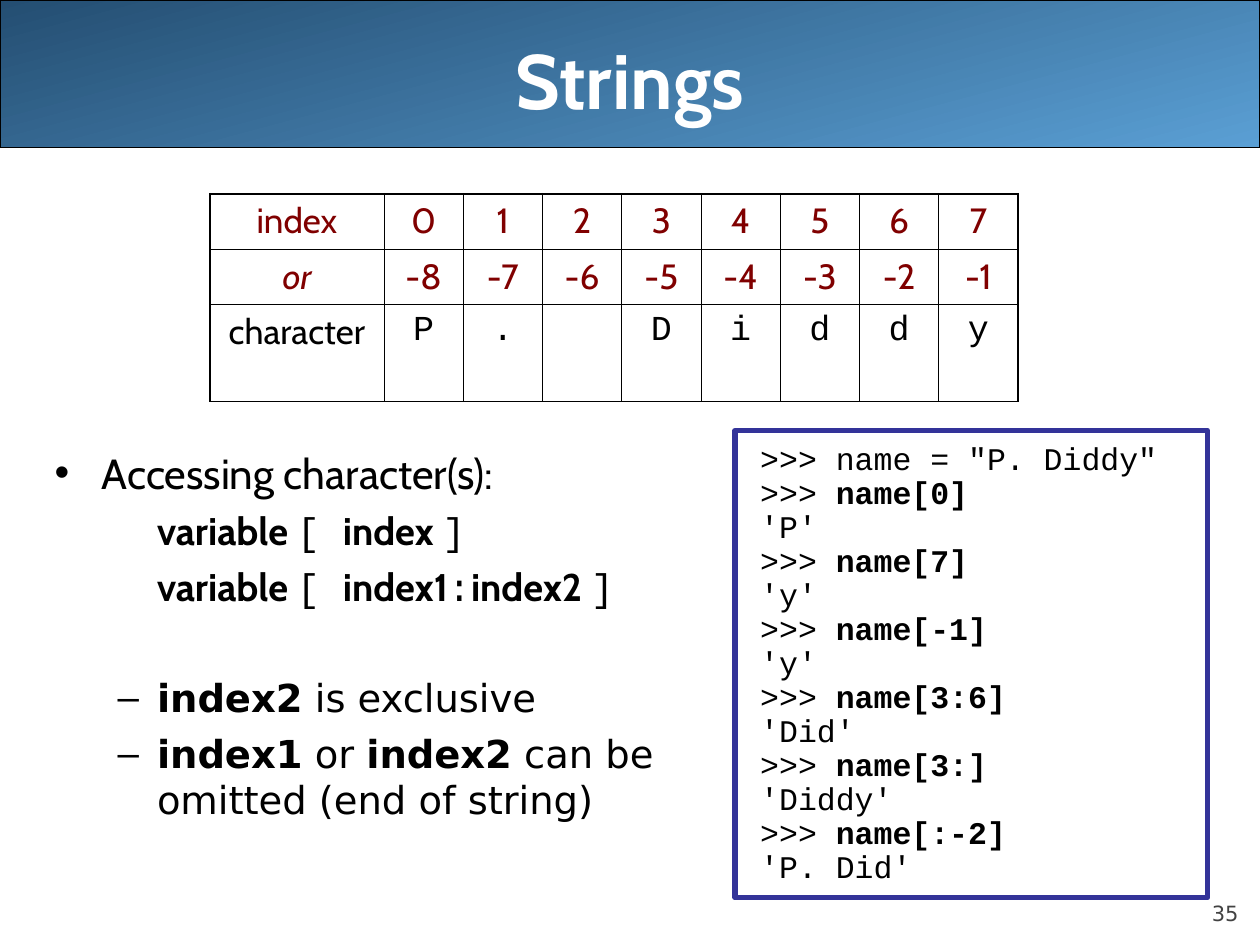
"""Build the Strings slide with an index table, access rules and a console session."""
import lxml.etree
import pptx
import pptx.dml.color
import pptx.enum.shapes
import pptx.enum.text
import pptx.oxml.ns
import pptx.util

Pt = pptx.util.Pt
RGB = pptx.dml.color.RGBColor.from_string
qn = pptx.oxml.ns.qn
ALIGN = pptx.enum.text.PP_ALIGN
ANCHOR = pptx.enum.text.MSO_ANCHOR
SHAPE = pptx.enum.shapes.MSO_SHAPE

THEME = {
    "sans": "Cabin", "mono": "Courier New", "plain": "DejaVu Sans",
    "dark": "244E72", "light": "5A9FD4", "white": "FFFFFF", "black": "000000",
    "index": "800000", "frame": "333399", "number": "424242",
    "title": 44, "lead": 24, "item": 22, "cell": 20, "code": 18, "page": 12,
}


def add_run(p, text, font, size, color="black", bold=False, italic=False):
    r = p.add_run()
    r.text = text
    r.font.name = THEME[font]
    r.font.size = Pt(THEME[size])
    r.font.color.rgb = RGB(THEME[color])
    r.font.bold = bold
    r.font.italic = italic


def add_bullet(p, char, margin, indent):
    pPr = p._p.get_or_add_pPr()
    pPr.set("marL", str(Pt(margin)))
    pPr.set("indent", str(Pt(indent)))
    if char:
        lxml.etree.SubElement(pPr, qn("a:buChar")).set("char", char)
    else:
        lxml.etree.SubElement(pPr, qn("a:buNone"))


prs = pptx.Presentation()
prs.slide_width, prs.slide_height = Pt(720), Pt(540)
s = prs.slides.add_slide(prs.slide_layouts[1])
title, body = s.placeholders

band = s.shapes.add_shape(SHAPE.ROUNDED_RECTANGLE, 0, 0, Pt(720), Pt(84.25))
band.adjustments[0] = 0
band.shadow.inherit = False
band.fill.gradient()
band.fill.gradient_angle = 285
for stop, color, position in zip(band.fill.gradient_stops, ("dark", "light"), (0, 1)):
    stop.color.rgb = RGB(THEME[color])
    stop.position = position
band.line.color.rgb = RGB(THEME["black"])
band.line.width = Pt(0.75)
title.element.addprevious(band.element)

title.left, title.top, title.width, title.height = Pt(36), Pt(0), Pt(648), Pt(90)
tf = title.text_frame
tf.auto_size = pptx.enum.text.MSO_AUTO_SIZE.NONE
tf.vertical_anchor = ANCHOR.MIDDLE
tf.paragraphs[0].alignment = ALIGN.CENTER
add_run(tf.paragraphs[0], "Strings", "sans", "title", "white", bold=True)

body.left, body.top, body.width, body.height = Pt(24), Pt(252), Pt(386), Pt(230)
tf = body.text_frame
tf.auto_size = pptx.enum.text.MSO_AUTO_SIZE.NONE
items = [
    (0, "•", 0, [("Accessing character(s):", "sans", False)]),
    (1, "", 5.5, [("variable ", "sans", True), ("[ ", "mono", False),
                  ("index ", "sans", True), ("]", "mono", False)]),
    (1, "", 5.5, [("variable ", "sans", True), ("[ ", "mono", False),
                  ("index1", "sans", True), (":", "mono", False),
                  ("index2 ", "sans", True), ("]", "mono", False)]),
    (1, "–", 37, [("index2", "plain", True), (" is exclusive", "plain", False)]),
    (1, "–", 5.5, [("index1", "plain", True), (" or ", "plain", False),
                   ("index2", "plain", True),
                   (" can be omitted (end of string)", "plain", False)]),
]
for i, (level, char, before, runs) in enumerate(items):
    p = tf.paragraphs[0] if i == 0 else tf.add_paragraph()
    p.level = level
    p.space_before = Pt(before)
    indent = -27 if level == 0 else -22.5 if char else 0
    add_bullet(p, char, 58.5 if level else 27, indent)
    for text, font, bold in runs:
        add_run(p, text, font, "item" if level else "lead", bold=bold)

word = "P. Diddy"
n = len(word)
rows = [
    ["index", *map(str, range(n))],
    ["or", *map(str, range(-n, 0))],
    ["character", *word],
]
frame = s.shapes.add_table(3, n + 1, Pt(120), Pt(110.75), Pt(461.8), Pt(118.6))
table = frame.table
table.first_row = table.horz_banding = False
for row, height in zip(table.rows, (31.8, 31.5, 55.3)):
    row.height = Pt(height)
for j, column in enumerate(table.columns):
    column.width = Pt(45.3 if j else 99.4)
for i, row in enumerate(rows):
    for j, text in enumerate(row):
        cell = table.cell(i, j)
        p = cell.text_frame.paragraphs[0]
        p.alignment = ALIGN.CENTER
        if text.strip():
            add_run(p, text, "mono" if i == 2 and j else "sans", "cell",
                    "black" if i == 2 else "index", italic=text == "or")
        tcPr = cell._tc.get_or_add_tcPr()
        outer = {"L": j == 0, "R": j == n, "T": i == 0, "B": i == 2}
        for side, is_outer in outer.items():
            ln = lxml.etree.SubElement(tcPr, qn("a:ln" + side))
            ln.set("w", str(Pt(1.08 if is_outer else 0.45)))
            fill = lxml.etree.SubElement(ln, qn("a:solidFill"))
            lxml.etree.SubElement(fill, qn("a:srgbClr")).set("val", THEME["black"])
        cell.fill.background()

sp = s.shapes.add_shape(SHAPE.RECTANGLE, Pt(420), Pt(246), Pt(270), Pt(267))
sp.shadow.inherit = False
sp.fill.solid()
sp.fill.fore_color.rgb = RGB(THEME["white"])
sp.line.color.rgb = RGB(THEME["frame"])
sp.line.width = Pt(3)
tf = sp.text_frame
tf.word_wrap = True
tf.vertical_anchor = ANCHOR.TOP
tf.margin_left = tf.margin_right = Pt(14.4)
tf.margin_top = tf.margin_bottom = Pt(7.2)
session = [
    (">>> name = \"P. Diddy\"", ""),
    (">>> ", "name[0]"), ("'P'", ""),
    (">>> ", "name[7]"), ("'y'", ""),
    (">>> ", "name[-1]"), ("'y'", ""),
    (">>> ", "name[3:6]"), ("'Did'", ""),
    (">>> ", "name[3:]"), ("'Diddy'", ""),
    (">>> ", "name[:-2]"), ("'P. Did'", ""),
]
for i, (text, command) in enumerate(session):
    p = tf.paragraphs[0] if i == 0 else tf.add_paragraph()
    p.alignment = ALIGN.LEFT
    p.line_spacing = 0.9
    add_run(p, text, "mono", "code")
    if command:
        add_run(p, command, "mono", "code", bold=True)

number = s.shapes.add_textbox(Pt(648), Pt(500.4), Pt(59.75), Pt(28.8))
tf = number.text_frame
tf.word_wrap = True
tf.vertical_anchor = ANCHOR.BOTTOM
tf.margin_left = tf.margin_right = tf.margin_top = tf.margin_bottom = 0
tf.paragraphs[0].alignment = ALIGN.RIGHT
add_run(tf.paragraphs[0], "35", "plain", "page", "number")

prs.save("out.pptx")
